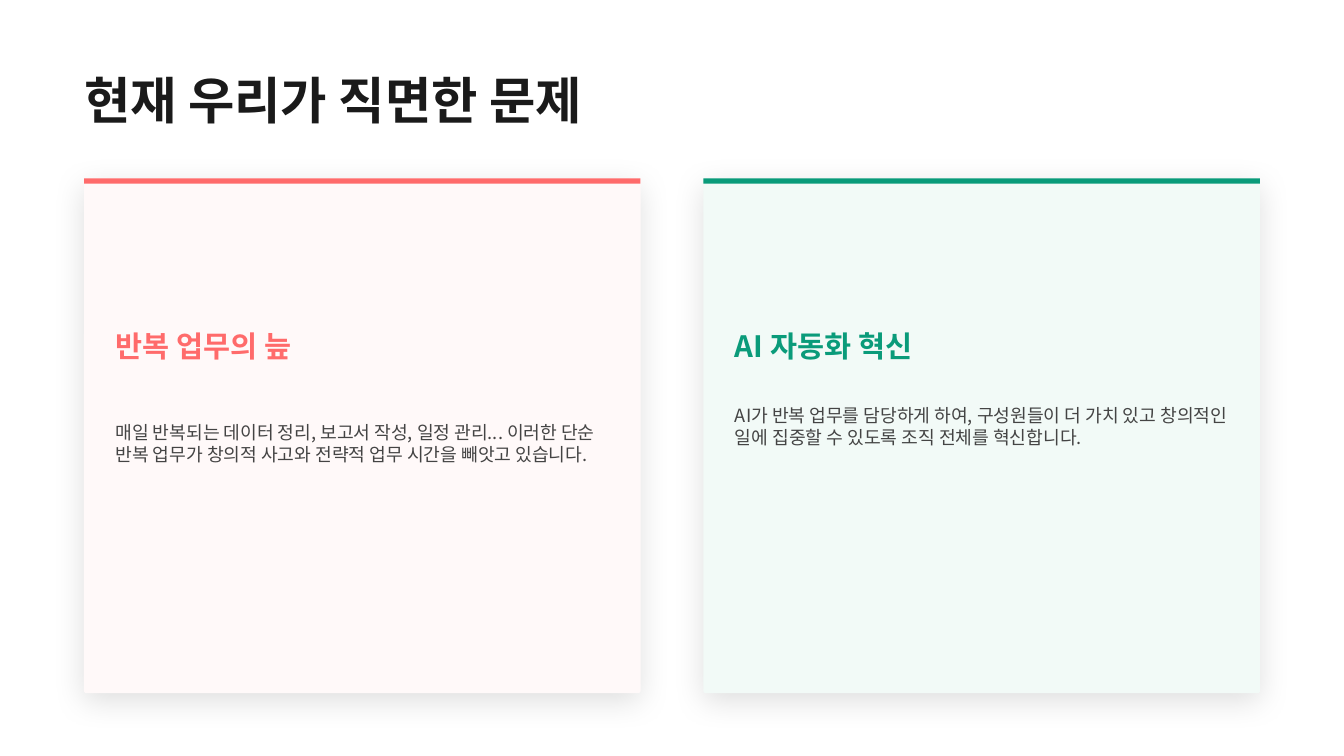
from lxml import etree
from pptx import Presentation
from pptx.dml.color import RGBColor
from pptx.enum.shapes import MSO_SHAPE
from pptx.enum.text import MSO_ANCHOR, PP_ALIGN
from pptx.oxml import parse_xml
from pptx.oxml.ns import nsdecls, qn
from pptx.util import Pt

FONT = "Noto Sans CJK KR"
COLORS = {
    "title": "1A1A1A",
    "body": "444444",
    "coral": "FF6B6B",
    "coral_tint": "FFF9F9",
    "green": "0A9B7A",
    "green_tint": "F2FAF7",
}
CARD_TOP, CARD_WIDTH, CARD_HEIGHT = 127.5, 397.5, 367.5
CARD_LEFT, CARD_STEP = 60, 442.5
CARDS = [
    ("반복 업무의 늪",
     "매일 반복되는 데이터 정리, 보고서 작성, 일정 관리... 이러한 단순 "
     "반복 업무가 창의적 사고와 전략적 업무 시간을 빼앗고 있습니다.",
     "coral", 68.4),
    ("AI 자동화 혁신",
     "AI가 반복 업무를 담당하게 하여, 구성원들이 더 가치 있고 "
     "창의적인 일에 집중할 수 있도록 조직 전체를 혁신합니다.",
     "green", 44),
]


def rgb(name):
    return RGBColor.from_string(COLORS[name])


def write_text(sp, text, size, color, bold=False):
    tf = sp.text_frame
    tf.text = text
    tf.word_wrap = True
    tf.vertical_anchor = MSO_ANCHOR.MIDDLE
    tf.margin_left = tf.margin_right = tf.margin_top = tf.margin_bottom = 0
    p = tf.paragraphs[0]
    p.alignment = PP_ALIGN.LEFT
    r = p.runs[0]
    r.font.size = Pt(size)
    r.font.bold = bold
    r.font.name = FONT
    r.font.color.rgb = rgb(color)
    # Hangul takes its typeface from the East Asian slot
    etree.SubElement(r.font._element, qn("a:ea")).set("typeface", FONT)


def add_text(s, left, top, width, height, *text_format):
    sp = s.shapes.add_textbox(Pt(left), Pt(top), Pt(width), Pt(height))
    write_text(sp, *text_format)


def add_block(s, kind, left, top, width, height, color):
    sp = s.shapes.add_shape(kind, Pt(left), Pt(top), Pt(width), Pt(height))
    sp.shadow.inherit = False
    sp.fill.solid()
    sp.fill.fore_color.rgb = rgb(color)
    sp.line.fill.background()
    return sp


def add_soft_shadow(sp):
    effects = sp._element.spPr.find(qn("a:effectLst"))
    effects.append(parse_xml(
        f'<a:outerShdw {nsdecls("a")} blurRad="{Pt(23)}" dist="{Pt(6)}" '
        'dir="5400000" algn="bl" rotWithShape="0"><a:srgbClr val="000000">'
        '<a:alpha val="12000"/></a:srgbClr></a:outerShdw>'))


def add_card(s, left, heading, body, color, body_height):
    panel = add_block(s, MSO_SHAPE.ROUNDED_RECTANGLE, left, CARD_TOP,
                      CARD_WIDTH, CARD_HEIGHT, f"{color}_tint")
    panel.adjustments[0] = 0.004
    add_soft_shadow(panel)
    add_block(s, MSO_SHAPE.RECTANGLE, left, CARD_TOP, CARD_WIDTH, 3.75, color)
    text_left = left + 22.5
    add_text(s, text_left, 232, 145, 30, heading, 21, color, True)
    add_text(s, text_left, 282.2, 361, body_height, body, 13, "body")


def add_title(s, text):
    sp = s.shapes.title
    sp.left, sp.top, sp.width, sp.height = Pt(60), Pt(45), Pt(389), Pt(52.5)
    write_text(sp, text, 36, "title", True)


def main():
    prs = Presentation()
    prs.slide_width, prs.slide_height = Pt(960), Pt(540)
    s = prs.slides.add_slide(prs.slide_layouts[5])
    add_title(s, "현재 우리가 직면한 문제")
    for i, card in enumerate(CARDS):
        add_card(s, CARD_LEFT + i * CARD_STEP, *card)
    prs.save("out.pptx")


if __name__ == "__main__":
    main()
